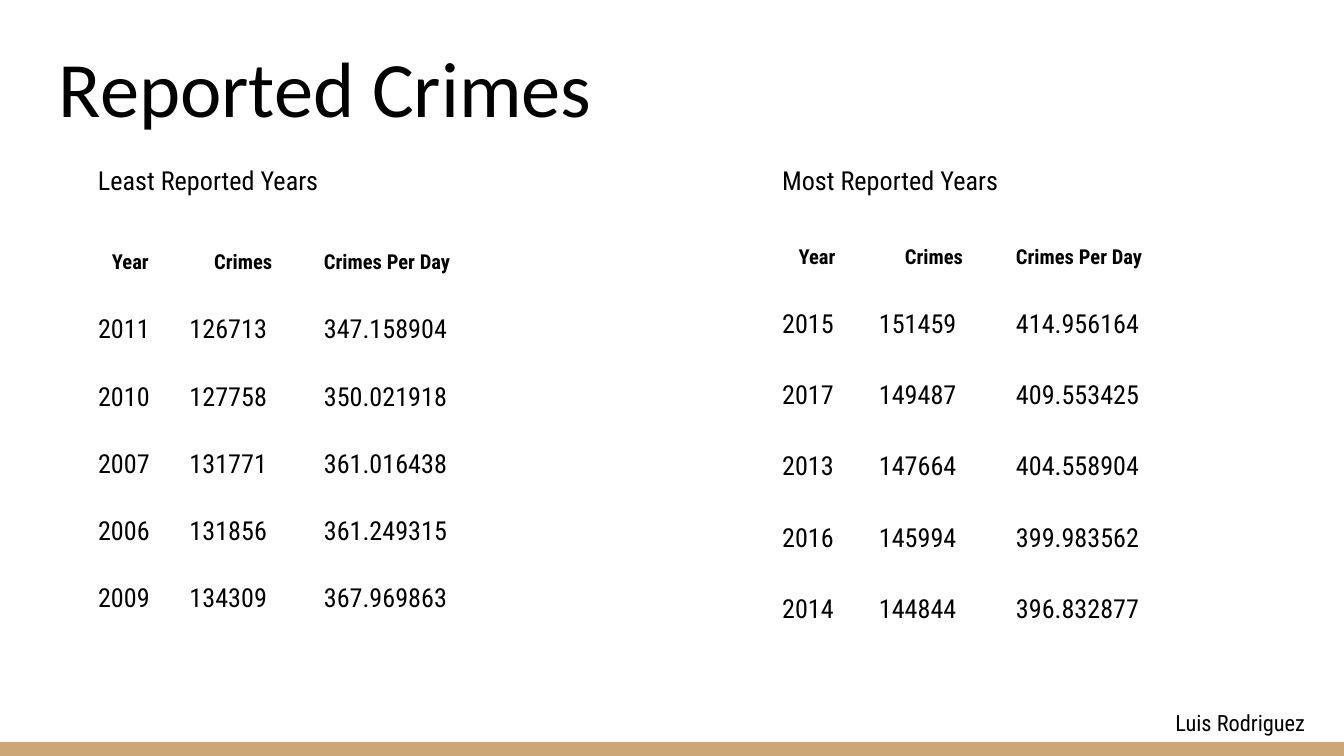
import pptx
import pptx.util
import pptx.dml.color
import pptx.enum.shapes
import pptx.enum.text

Inches = pptx.util.Inches
ALIGN = pptx.enum.text.PP_ALIGN
ANCHOR = pptx.enum.text.MSO_ANCHOR
COLORS = {"text": "000000", "bar": "CCA677", "back": "FFFFFF"}
BODY = "Roboto Condensed"
HEADS = ("Year", "Crimes", "Crimes Per Day")
LEAST = [
    ("2011", "126713", "347.158904"),
    ("2010", "127758", "350.021918"),
    ("2007", "131771", "361.016438"),
    ("2006", "131856", "361.249315"),
    ("2009", "134309", "367.969863"),
]
MOST = [
    ("2015", "151459", "414.956164"),
    ("2017", "149487", "409.553425"),
    ("2013", "147664", "404.558904"),
    ("2016", "145994", "399.983562"),
    ("2014", "144844", "396.832877"),
]


def color(name):
    return pptx.dml.color.RGBColor.from_string(COLORS[name])


def style(para, text, size, face=BODY, bold=False, align=ALIGN.LEFT):
    para.text = text
    para.alignment = align
    para.font.size = pptx.util.Pt(size)
    para.font.name = face
    para.font.bold = bold
    para.font.color.rgb = color("text")


def inset(item):
    item.margin_left = item.margin_right = Inches(0.1)
    item.margin_top = item.margin_bottom = Inches(0.1)


def label(slide, box, text, size, anchor=ANCHOR.TOP, **look):
    frame = slide.shapes.add_textbox(*map(Inches, box)).text_frame
    frame.word_wrap = True
    frame.vertical_anchor = anchor
    inset(frame)
    style(frame.paragraphs[0], text, size, **look)


def grid(slide, left, top, widths, head, step, rows):
    high = head + step * len(rows)
    box = map(Inches, (left, top, sum(widths), high))
    table = slide.shapes.add_table(len(rows) + 1, len(widths), *box).table
    table.first_row = False
    table.horz_banding = False
    for col, width in zip(table.columns, widths):
        col.width = Inches(width)
    for i, row in enumerate([HEADS] + rows):
        table.rows[i].height = Inches(step if i else head)
        for j, text in enumerate(("", *row)):
            cell = table.cell(i, j)
            cell.fill.background()
            inset(cell)
            if not text:
                continue
            para = cell.text_frame.paragraphs[0]
            if i:
                style(para, text, 14)
            else:
                align = ALIGN.CENTER if j < 3 else ALIGN.LEFT
                style(para, text, 11, bold=True, align=align)
                para.line_spacing = 1.15


def panel(slide, box, title, rows, shift, widths, head, step):
    left, top, width, high = box
    label(slide, box, title, 14)
    grid(slide, left - widths[0], top + shift, widths, head, step, rows)


def footer(slide, box):
    left, top, width, high = box
    bar = slide.shapes.add_shape(
        pptx.enum.shapes.MSO_SHAPE.RECTANGLE, *map(Inches, box))
    bar.shadow.inherit = False
    bar.fill.solid()
    bar.fill.fore_color.rgb = color("bar")
    bar.line.fill.background()
    label(slide, (left + width - 2.4, top - 0.34, 2.21, 0.4),
          "Luis Rodriguez", 12, align=ALIGN.RIGHT)


def main():
    deck = pptx.Presentation()
    deck.slide_width = Inches(10)
    deck.slide_height = deck.slide_width * 9 // 16
    slide = deck.slides.add_slide(deck.slide_layouts[6])
    slide.background.fill.solid()
    slide.background.fill.fore_color.rgb = color("back")
    label(slide, (0.34, 0.18, 9.32, 0.91), "Reported Crimes", 42,
          anchor=ANCHOR.BOTTOM, face="Calibri")
    panel(slide, (0.63, 1.12, 3.85, 0.44), "Least Reported Years", LEAST,
          0.62, (0.49, 0.68, 1, 2.13), 0.46, 0.5)
    panel(slide, (5.72, 1.12, 4.18, 0.44), "Most Reported Years", MOST,
          0.58, (0.72, 0.72, 1.02, 2.16), 0.44, 0.53)
    footer(slide, (0, 5.52, 10, 0.11))
    deck.save("out.pptx")


if __name__ == "__main__":
    main()
